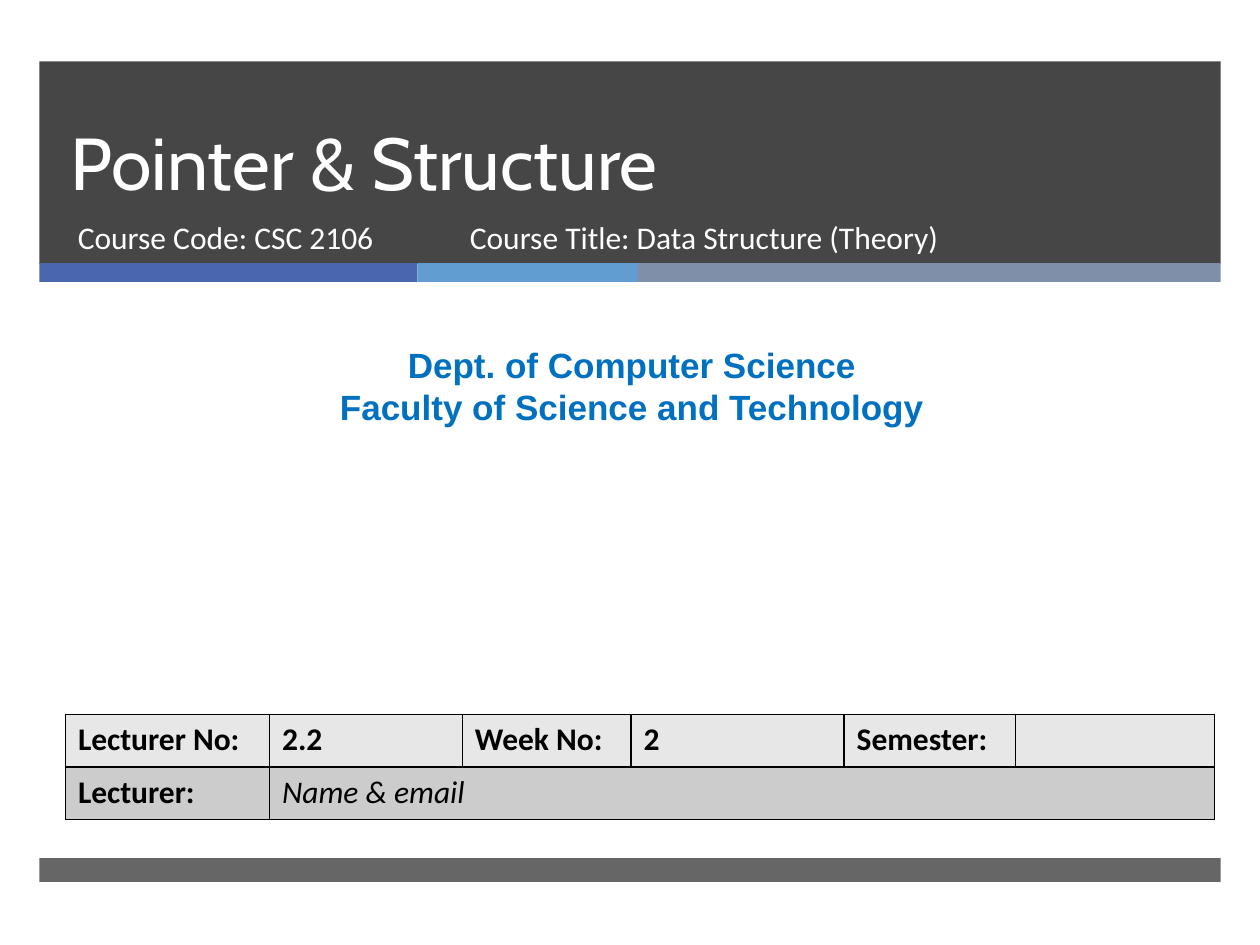
from lxml.etree import SubElement
from pptx import Presentation
from pptx.dml.color import RGBColor
from pptx.enum.shapes import MSO_SHAPE as Shape
from pptx.enum.text import MSO_ANCHOR as Anchor, MSO_AUTO_SIZE as AutoSize, PP_ALIGN as Align
from pptx.oxml.ns import qn
from pptx.util import Pt


def color(hex_code):
    return RGBColor.from_string(hex_code)


def write(frame, text, size=18, font="Calibri", ink="FFFFFF", bold=False,
          italic=False, align=Align.LEFT, spacing=None):
    frame.word_wrap = True
    for i, line in enumerate(text.split("\n")):
        para = frame.add_paragraph() if i else frame.paragraphs[0]
        para.alignment = align
        if spacing:
            para.line_spacing = Pt(spacing)
        span = para.add_run()
        span.text = line
        span.font.size = Pt(size)
        span.font.name = font
        span.font.bold = bold
        span.font.italic = italic
        span.font.color.rgb = color(ink)


deck = Presentation()
deck.slide_width, deck.slide_height = Pt(720), Pt(540)
page = deck.slides.add_slide(deck.slide_layouts[5])

# Header band, three-colour stripe and footer band: left, top, width, height, fill, opacity
bands = [
    (22.5, 35, 675, 115.8, "262626", 85),
    (22.5, 150.3, 216, 10.8, "4A66AC", 100),
    (238.5, 150.3, 126, 10.8, "629DD1", 100),
    (364.5, 150.3, 333, 10.8, "7F8FA9", 100),
    (22.5, 490.3, 675, 13.7, "262626", 70),
]
for left, top, width, height, fill, opacity in bands:
    band = page.shapes.add_shape(Shape.RECTANGLE, Pt(left), Pt(top), Pt(width), Pt(height))
    band.shadow.inherit = False
    band.line.fill.background()
    band.fill.solid()
    band.fill.fore_color.rgb = color(fill)
    if opacity < 100:
        tint = band.element.spPr.find(qn("a:solidFill"))[0]
        SubElement(tint, qn("a:alpha"), val=str(opacity * 1000))

# Title, brought in front of the header band
title = page.shapes.title
title.left, title.top, title.width, title.height = Pt(33), Pt(35), Pt(615), Pt(86)
title.text_frame.auto_size = AutoSize.NONE
title.text_frame.vertical_anchor = Anchor.BOTTOM
write(title.text_frame, "Pointer & Structure", size=42, font="Cabin", spacing=46)
title.element.getparent().append(title.element)

# Course details and department
department = "Dept. of Computer Science\nFaculty of Science and Technology"
texts = [
    ((37.4, 121, 220, 38), "Course Code: CSC 2106", {}),
    ((261.4, 121, 328, 38), "Course Title: Data Structure (Theory)", {}),
    ((5.8, 193, 710.6, 55.4), department,
     dict(size=20, font="Arial", ink="0070C0", bold=True, align=Align.CENTER)),
]
for place, text, style in texts:
    box = page.shapes.add_textbox(*map(Pt, place))
    write(box.text_frame, text, **style)

# Lecture table
rows = [
    ("E7E7E7", ["Lecturer No:", "2.2", "Week No:", "2", "Semester:", ""]),
    ("CCCCCC", ["Lecturer:", "Name & email", "", "", "", ""]),
]
widths = [116.6, 110.2, 96.5, 121.7, 97.9, 113.8]
table = page.shapes.add_table(2, 6, Pt(37.4), Pt(408.2), Pt(sum(widths)), Pt(60)).table
for column, width in zip(table.columns, widths):
    column.width = Pt(width)
for r, (fill, labels) in enumerate(rows):
    table.rows[r].height = Pt(30)
    for c, label in enumerate(labels):
        cell = table.cell(r, c)
        props = cell._tc.get_or_add_tcPr()
        for side in ("a:lnL", "a:lnR", "a:lnT", "a:lnB"):
            line = SubElement(props, qn(side), w=str(Pt(1)))
            SubElement(SubElement(line, qn("a:solidFill")), qn("a:srgbClr"), val="000000")
        cell.fill.solid()
        cell.fill.fore_color.rgb = color(fill)
        if label:
            is_name = (r, c) == (1, 1)
            write(cell.text_frame, label, ink="000000", bold=not is_name, italic=is_name)
table.cell(1, 1).merge(table.cell(1, 5))

deck.save("out.pptx")
